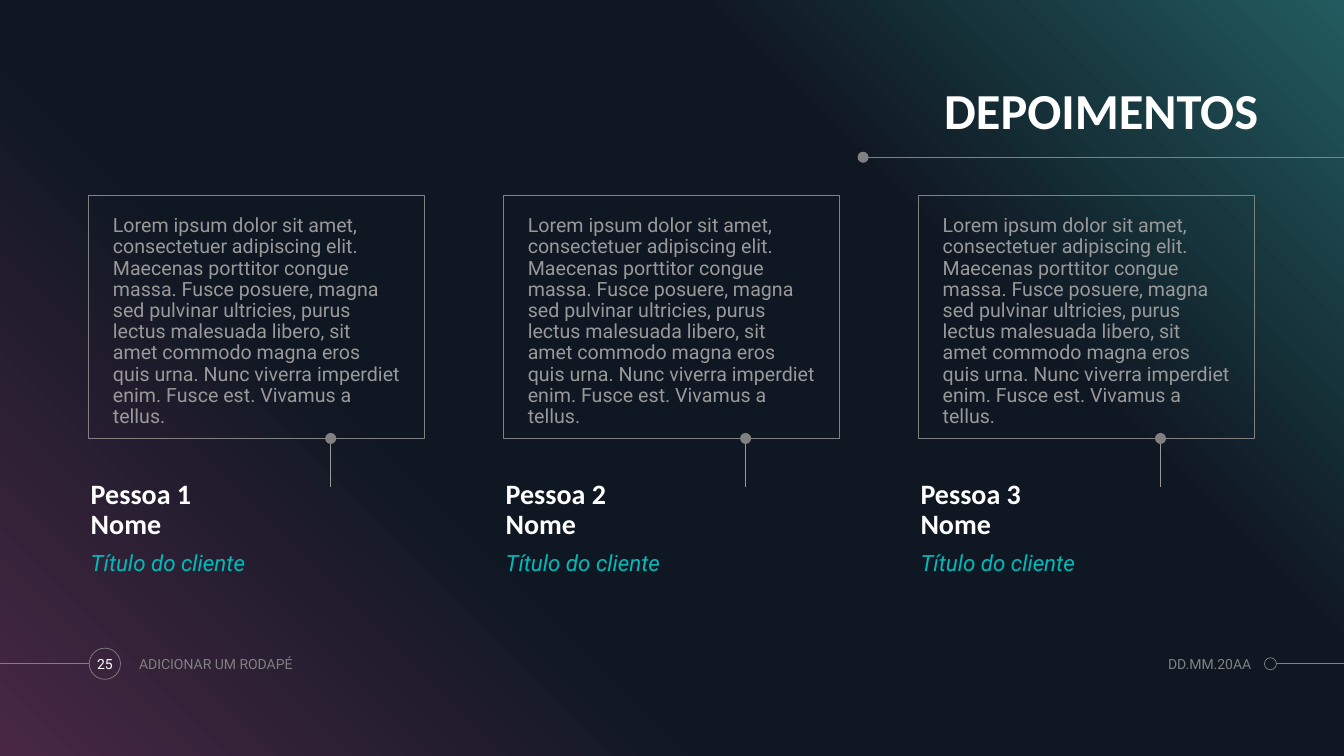
from copy import deepcopy

from pptx import Presentation
from pptx.dml.color import RGBColor
from pptx.enum.shapes import MSO_CONNECTOR, MSO_SHAPE
from pptx.enum.text import MSO_ANCHOR as ANCHOR, PP_ALIGN as ALIGN
from pptx.oxml.ns import qn
from pptx.util import Inches, Pt
from lxml import etree

W, H = 13.33, 7.5
GRAY, LIGHT, WHITE, TEAL = "808080", "999999", "FFFFFF", "00BBBB"
GRADIENT = [(0, "482845"), (0.34, "0F1722"), (0.69, "0F1722"), (1, "225B5F")]
QUOTE = (
    "Lorem ipsum dolor sit amet, consectetuer adipiscing elit. Maecenas "
    "porttitor congue massa. Fusce posuere, magna sed pulvinar ultricies, "
    "purus lectus malesuada libero, sit amet commodo magna eros quis urna. "
    "Nunc viverra imperdiet enim. Fusce est. Vivamus a tellus."
)
CLIENTS = [(f"Pessoa {n}", "Nome", "Título do cliente") for n in (1, 2, 3)]


def rgb(value):
    """Turn a hex string into a colour."""
    return RGBColor.from_string(value)


def add_shape(s, kind, x, y, w, h, fill=None, line=None, width=0.5):
    """Add a preset shape with an optional fill and outline."""
    sp = s.shapes.add_shape(kind, Inches(x), Inches(y), Inches(w), Inches(h))
    sp.shadow.inherit = False
    if fill:
        sp.fill.solid()
        sp.fill.fore_color.rgb = rgb(fill)
    else:
        sp.fill.background()
    if line:
        sp.line.color.rgb = rgb(line)
        sp.line.width = Pt(width)
    else:
        sp.line.fill.background()
    return sp


def add_circle(s, cx, cy, d, fill=None, line=None):
    """Add a circle around a centre point."""
    return add_shape(s, MSO_SHAPE.OVAL, cx - d / 2, cy - d / 2, d, d, fill, line)


def add_line(s, x1, y1, x2, y2, color=GRAY):
    """Add a thin straight line."""
    cn = s.shapes.add_connector(
        MSO_CONNECTOR.STRAIGHT, Inches(x1), Inches(y1), Inches(x2), Inches(y2))
    cn.line.color.rgb = rgb(color)
    cn.line.width = Pt(0.5)
    etree.SubElement(cn._element.spPr, qn("a:effectLst"))


def write(sp, lines, size, color, font="Roboto", bold=False, italic=False,
          align=ALIGN.LEFT, anchor=ANCHOR.TOP, spacing=1.0, inset=(0, 0)):
    """Write one paragraph, with a line break between the given lines."""
    tf = sp.text_frame
    tf.word_wrap = True
    tf.vertical_anchor = anchor
    tf.margin_left = tf.margin_right = Inches(inset[0])
    tf.margin_top = tf.margin_bottom = Inches(inset[1])
    p = tf.paragraphs[0]
    p.alignment = align
    p.line_spacing = spacing
    for i, text in enumerate(lines):
        if i:
            p.add_line_break()
        r = p.add_run()
        r.text = text
        r.font.name = font
        r.font.size = Pt(size)
        r.font.bold = bold
        r.font.italic = italic
        r.font.color.rgb = rgb(color)


def add_text(s, x, y, w, h, lines, size, color, **style):
    """Add a text box."""
    box = s.shapes.add_textbox(Inches(x), Inches(y), Inches(w), Inches(h))
    write(box, lines, size, color, **style)


def backdrop(s, x, y, w, h):
    """Fill the box with the diagonal gradient."""
    sp = add_shape(s, MSO_SHAPE.RECTANGLE, x, y, w, h)
    sp.fill.gradient()
    sp.fill.gradient_angle = 45
    stops = sp._element.spPr.find(qn("a:gradFill")).find(qn("a:gsLst"))
    for stop in list(stops)[:2]:
        stops.append(deepcopy(stop))
    for stop, (position, color) in zip(sp.fill.gradient_stops, GRADIENT):
        stop.position = position
        stop.color.rgb = rgb(color)


def heading(s, x, y, w, h):
    """Place the title and the rule that runs to the slide edge."""
    add_text(s, x, y, w, h, ["DEPOIMENTOS"], 36, WHITE, font="Calibri",
             bold=True, align=ALIGN.RIGHT, anchor=ANCHOR.BOTTOM, spacing=0.9)
    rule_x, rule_y = x + 2.98, y + 0.79
    add_line(s, rule_x, rule_y, W, rule_y)
    add_circle(s, rule_x, rule_y, 0.11, fill=GRAY)


def testimonial(s, x, y, w, h, first, second, role):
    """Place a framed quote, its pointer and the client below it."""
    frame = add_shape(s, MSO_SHAPE.RECTANGLE, x, y, w, h, line=GRAY, width=0.75)
    write(frame, [QUOTE], 14, LIGHT, spacing=0.9, inset=(0.24, 0.2))
    pointer_x, bottom = x + 2.4, y + h
    add_line(s, pointer_x, bottom, pointer_x, bottom + 0.48, LIGHT)
    add_circle(s, pointer_x, bottom, 0.11, fill=GRAY)
    add_text(s, x + 0.02, bottom + 0.22, 1.78, 0.79, [first, second], 20, WHITE,
             font="Calibri", bold=True, anchor=ANCHOR.BOTTOM, spacing=0.9)
    add_text(s, x + 0.02, bottom + 1.1, 1.78, 0.36, [role], 16, TEAL, italic=True)


def footer(s, x, y, w, h):
    """Place the page number, footer text and date in a strip."""
    mid = y + h / 2
    number_x, date_x = x + 1.04, x + w - 0.73
    add_line(s, x, mid, number_x - 0.16, mid)
    add_circle(s, number_x, mid, 0.31, line=GRAY)
    add_line(s, date_x + 0.06, mid, x + w, mid)
    add_circle(s, date_x, mid, 0.12, line=GRAY)
    add_text(s, number_x - 0.2, y, 0.4, h, ["25"], 10, WHITE,
             align=ALIGN.CENTER, anchor=ANCHOR.MIDDLE)
    add_text(s, x + 1.38, y, 3, h, ["ADICIONAR UM RODAPÉ"], 10, GRAY,
             anchor=ANCHOR.MIDDLE)
    add_text(s, date_x - 1.65, y, 1.46, h, ["DD.MM.20AA"], 10, GRAY,
             align=ALIGN.RIGHT, anchor=ANCHOR.MIDDLE)


def main():
    """Build and save the slide."""
    prs = Presentation()
    prs.slide_width, prs.slide_height = Inches(W), Inches(H)
    s = prs.slides.add_slide(prs.slide_layouts[6])
    backdrop(s, 0, 0, W, H)
    heading(s, 5.58, 0.77, 6.9, 0.62)
    for i, client in enumerate(CLIENTS):
        testimonial(s, 0.88 + i * 4.115, 1.94, 3.33, 2.41, *client)
    footer(s, 0, 6.42, W, 0.33)
    prs.save("out.pptx")


if __name__ == "__main__":
    main()
